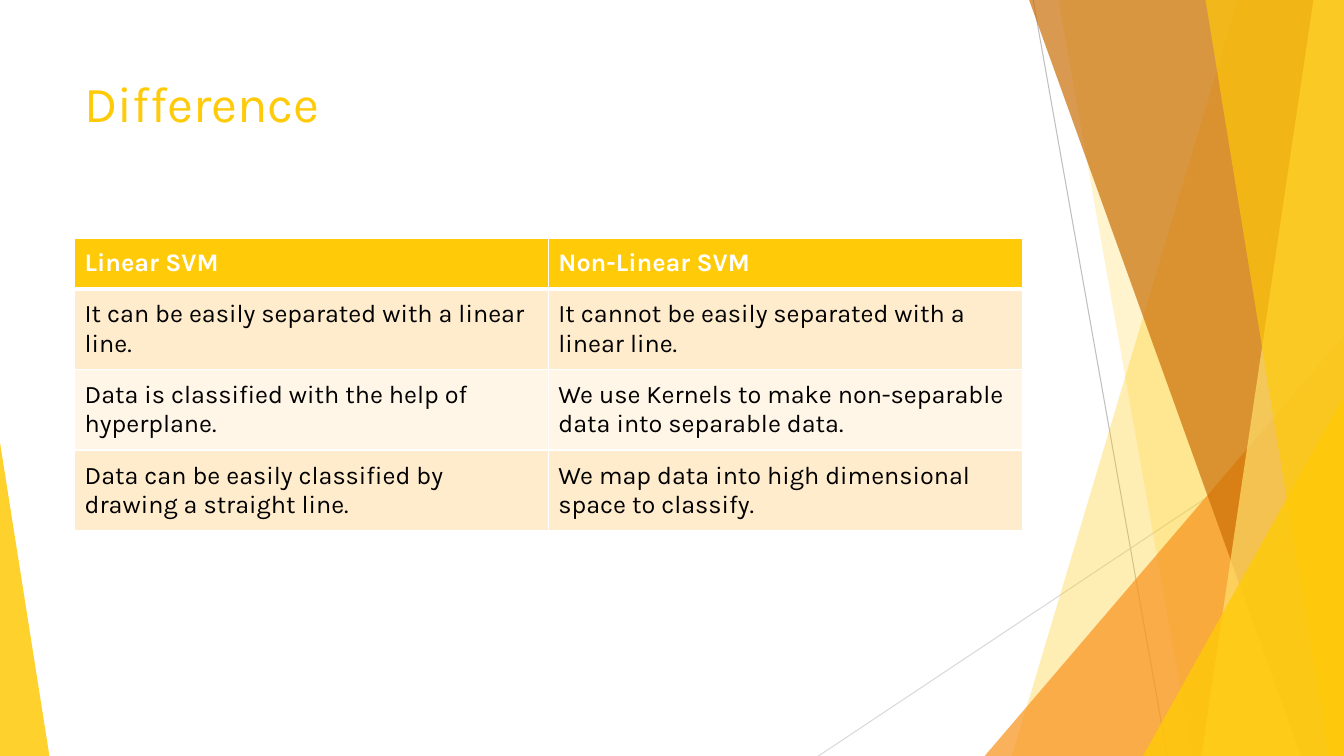
from dataclasses import dataclass

from lxml import etree
from pptx import Presentation
from pptx.dml.color import RGBColor
from pptx.enum.shapes import MSO_CONNECTOR, MSO_SHAPE
from pptx.enum.text import MSO_ANCHOR
from pptx.oxml.ns import qn
from pptx.util import Pt

STRAIGHT = MSO_CONNECTOR.STRAIGHT
TRIANGLE = MSO_SHAPE.ISOSCELES_TRIANGLE
MIDDLE = MSO_ANCHOR.MIDDLE
WIDTH, HEIGHT = 960, 540


@dataclass(frozen=True)
class Theme:
    font: str = "Karla"
    title_size: float = 36
    table_size: float = 18
    gold: str = "FFCA08"
    pale_gold: str = "FFDF6B"
    orange: str = "F8931D"
    brown: str = "CA6F06"
    gray: str = "BFBFBF"
    light_gray: str = "D9D9D9"
    white: str = "FFFFFF"
    black: str = "000000"
    bands: tuple = ("FFECCC", "FFF6E7")


class SlideBuilder:
    def __init__(self, deck, theme):
        self.theme = theme
        self.slide = deck.slides.add_slide(deck.slide_layouts[6])
        self.shapes = self.slide.shapes

    def line(self, start, end, color):
        connector = self.shapes.add_connector(STRAIGHT, *map(Pt, start + end))
        connector.line.color.rgb = RGBColor.from_string(color)
        connector.line.width = Pt(0.75)
        properties = connector._element.spPr
        etree.SubElement(properties, qn("a:effectLst"))

    def paint(self, shape, color, opacity):
        shape.shadow.inherit = False
        shape.line.fill.background()
        shape.fill.solid()
        shape.fill.fore_color.rgb = RGBColor.from_string(color)
        color_node = shape._element.spPr.find(qn("a:solidFill"))[0]
        etree.SubElement(color_node, qn("a:alpha"), val=str(opacity * 1000))

    def ribbon(self, top_left, bottom_left, color, opacity):
        builder = self.shapes.build_freeform(Pt(top_left), 0, scale=1.0)
        corners = ((WIDTH, 0), (WIDTH, HEIGHT), (bottom_left, HEIGHT))
        builder.add_line_segments([(Pt(x), Pt(y)) for x, y in corners], close=True)
        self.paint(builder.convert_to_shape(), color, opacity)

    def triangle(self, left, top, right, apex, color, opacity):
        bounds = (left, top, right - left, HEIGHT - top)
        shape = self.shapes.add_shape(TRIANGLE, *map(Pt, bounds))
        shape.adjustments[0] = apex
        self.paint(shape, color, opacity)

    def add_text(self, frame, text, size, color, bold=False):
        frame.word_wrap = True
        span = frame.paragraphs[0].add_run()
        span.text = text
        style = {"name": self.theme.font, "size": Pt(size), "bold": bold}
        for name, value in style.items():
            setattr(span.font, name, value)
        span.font.color.rgb = RGBColor.from_string(color)

    def title(self, text, bounds):
        box = self.shapes.add_textbox(*map(Pt, bounds))
        self.add_text(box.text_frame, text, self.theme.title_size, self.theme.gold)

    def border(self, cell, widths):
        properties = cell._tc.get_or_add_tcPr()
        for index, (side, width) in enumerate(widths.items()):
            edge = etree.Element(qn(f"a:{side}"), w=str(Pt(width)))
            fill = etree.SubElement(edge, qn("a:solidFill"))
            etree.SubElement(fill, qn("a:srgbClr"), val=self.theme.white)
            properties.insert(index, edge)

    def table(self, rows, left, top, width, heights):
        theme = self.theme
        bounds = (left, top, width, sum(heights))
        table = self.shapes.add_table(len(rows), len(rows[0]), *map(Pt, bounds)).table
        margins = ("margin_left", "margin_top", "margin_right", "margin_bottom")
        cell_format = {"vertical_anchor": MIDDLE, **dict.fromkeys(margins, Pt(7.2))}
        for row_index, row in enumerate(rows):
            table.rows[row_index].height = Pt(heights[row_index])
            header = row_index == 0
            background = theme.gold if header else theme.bands[(row_index - 1) % 2]
            edges = {
                "lnL": 1,
                "lnR": 1,
                "lnT": 3 if row_index == 1 else 1,
                "lnB": 3 if header else 1,
            }
            for column_index, text in enumerate(row):
                cell = table.cell(row_index, column_index)
                for name, value in cell_format.items():
                    setattr(cell, name, value)
                cell.fill.solid()
                cell.fill.fore_color.rgb = RGBColor.from_string(background)
                self.border(cell, edges)
                color = theme.white if header else theme.black
                self.add_text(cell.text_frame, text, theme.table_size, color, header)


def main():
    deck = Presentation()
    deck.slide_width, deck.slide_height = Pt(WIDTH), Pt(HEIGHT)
    theme = Theme()
    page = SlideBuilder(deck, theme)

    page.line((738, 0), (833.8, HEIGHT), theme.gray)
    page.line((WIDTH, 290.2), (584.6, HEIGHT), theme.light_gray)
    page.ribbon(884.2, 722.9, theme.gold, 30)
    page.ribbon(756, 851.8, theme.gold, 20)
    page.triangle(703.4, 239.8, WIDTH, 1, theme.orange, 72)
    page.ribbon(735.1, 929.5, theme.brown, 70)
    page.ribbon(938.2, 858.2, theme.pale_gold, 70)
    page.ribbon(861.1, 949, theme.gold, 65)
    page.triangle(816.5, 283, WIDTH, 1, theme.gold, 80)
    page.triangle(0, 316.1, 35.3, 0, theme.gold, 85)

    left, width = 53.3, 676.8
    page.title("Difference", (left, 48.2, width, 103.7))
    rows = (
        ("Linear SVM", "Non-Linear SVM"),
        (
            "It can be easily separated with a linear line.",
            "It cannot be easily separated with a linear line.",
        ),
        (
            "Data is classified with the help of hyperplane.",
            "We use Kernels to make non-separable data into separable data.",
        ),
        (
            "Data can be easily classified by drawing a straight line.",
            "We map data into high dimensional space to classify.",
        ),
    )
    page.table(rows, left, 170.2, width, (35.6, 57.2, 57.2, 57.2))
    deck.save("out.pptx")


if __name__ == "__main__":
    main()
